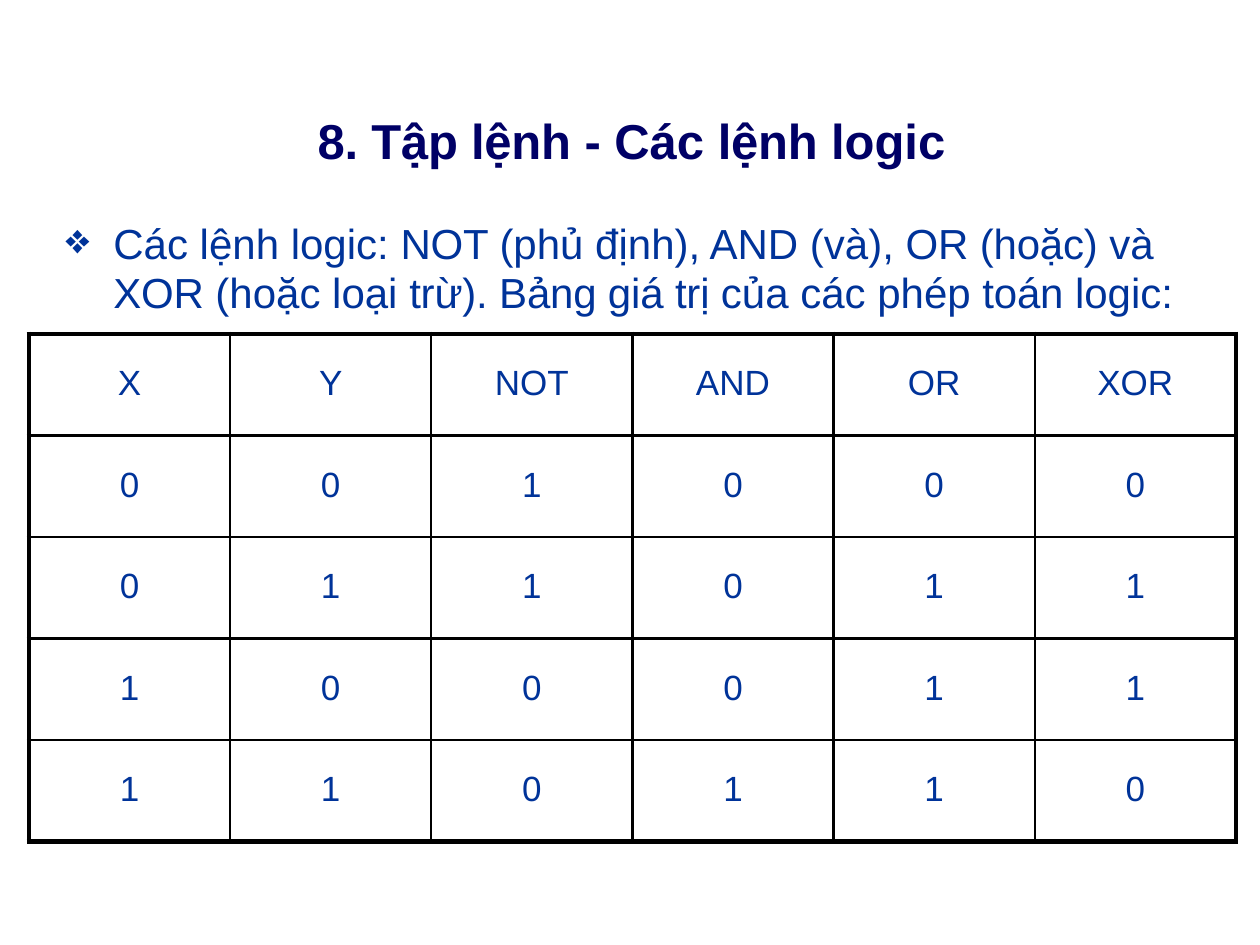
from pptx import Presentation
from pptx import util as u
from pptx.dml import color
from pptx.enum import text
from pptx.oxml import ns
from lxml import etree

COLORS = {"title": "000066", "body": "003399", "border": "000000"}
THIN, THICK = 1.5, 3
TIGHT = -0.1

TITLE = [("8. Tập lệnh ", TIGHT), ("- Các ", 0), ("lệnh ", TIGHT), ("logic", 0)]
INTRO = [
    ("Các lệnh logic: ", 0), ("NOT ", TIGHT), ("(phủ định), AND (và), ", 0),
    ("OR (hoặc) ", TIGHT), ("và ", 0), ("XOR ", TIGHT), ("(hoặc loại ", 0),
    ("trừ). Bảng giá trị ", TIGHT), ("của các phép ", 0), ("toán ", TIGHT),
    ("logic:", 0),
]
TRUTH_TABLE = [
    ["X", "Y", "NOT", "AND", "OR", "XOR"],
    ["0", "0", "1", "0", "0", "0"],
    ["0", "1", "1", "0", "1", "1"],
    ["1", "0", "0", "0", "1", "1"],
    ["1", "1", "0", "1", "1", "0"],
]


class SlideBuilder:
    font = "Arial"

    def __init__(self, slide):
        self.slide = slide

    def add_runs(self, paragraph, runs, size, color_name, bold=False):
        for content, spacing in runs:
            run = paragraph.add_run()
            run.text = content
            run.font.name = self.font
            run.font.size = u.Pt(size)
            run.font.bold = bold
            run.font.color.rgb = color.RGBColor.from_string(COLORS[color_name])
            if spacing:
                run.font._element.set("spc", str(round(spacing * 100)))

    def set_frame(self, frame, top_inset):
        frame.margin_left = frame.margin_right = frame.margin_bottom = 0
        frame.margin_top = u.Inches(top_inset)
        frame.vertical_anchor = text.MSO_ANCHOR.TOP
        frame.auto_size = text.MSO_AUTO_SIZE.NONE
        frame.word_wrap = True

    def title(self, runs, left, top, width, height):
        shape = self.slide.shapes.title
        shape.left, shape.top = u.Inches(left), u.Inches(top)
        shape.width, shape.height = u.Inches(width), u.Inches(height)
        self.set_frame(shape.text_frame, 0.01)
        paragraph = shape.text_frame.paragraphs[0]
        paragraph.alignment = text.PP_ALIGN.LEFT
        paragraph.space_before = u.Pt(0)
        self.add_runs(paragraph, runs, 28, "title", bold=True)

    def bullet(self, runs, left, top, width, height):
        shape = self.slide.shapes.add_textbox(
            u.Inches(left), u.Inches(top), u.Inches(width), u.Inches(height))
        self.set_frame(shape.text_frame, 0.04)
        paragraph = shape.text_frame.paragraphs[0]
        paragraph.line_spacing = u.Pt(28)
        properties = paragraph._p.get_or_add_pPr()
        properties.set("marL", str(u.Inches(0.39)))
        properties.set("indent", str(u.Inches(-0.38)))
        etree.SubElement(properties, ns.qn("a:buChar"), char="❖")
        self.add_runs(paragraph, runs, 24, "body")

    def borders(self, cell, widths):
        properties = cell._tc.get_or_add_tcPr()
        for index, (side, width) in enumerate(widths.items()):
            line = etree.Element(ns.qn(f"a:ln{side}"), w=str(u.Pt(width)))
            fill = etree.SubElement(line, ns.qn("a:solidFill"))
            etree.SubElement(fill, ns.qn("a:srgbClr"), val=COLORS["border"])
            properties.insert(index, line)

    def table(self, rows, left, top, width, height):
        last_row, last_column = len(rows) - 1, len(rows[0]) - 1
        table = self.slide.shapes.add_table(
            len(rows), len(rows[0]), u.Inches(left), u.Inches(top),
            u.Inches(width), u.Inches(height)).table
        table.first_row = table.horz_banding = False
        for r, values in enumerate(rows):
            for c, value in enumerate(values):
                cell = table.cell(r, c)
                cell.fill.background()
                cell.margin_left = cell.margin_right = cell.margin_bottom = 0
                cell.margin_top = u.Inches(0.24)
                paragraph = cell.text_frame.paragraphs[0]
                paragraph.alignment = text.PP_ALIGN.CENTER
                self.add_runs(paragraph, [(value, 0)], 20, "body")
                self.borders(cell, {
                    "L": THICK if c == 0 else THIN,
                    "R": THICK if c == last_column else THIN,
                    "T": THICK if r == 0 else THIN,
                    "B": THICK if r == last_row else THIN,
                })


def main():
    presentation = Presentation()
    presentation.slide_width = u.Inches(10)
    presentation.slide_height = u.Inches(7.5)
    slide = presentation.slides.add_slide(presentation.slide_layouts[5])
    builder = SlideBuilder(slide)
    builder.title(TITLE, 2.52, 0.87, 5.04, 0.49)
    builder.bullet(INTRO, 0.51, 1.7, 8.85, 0.82)
    builder.table(TRUTH_TABLE, 0.23, 2.65, 9.58, 4.03)
    presentation.save("out.pptx")


if __name__ == "__main__":
    main()
